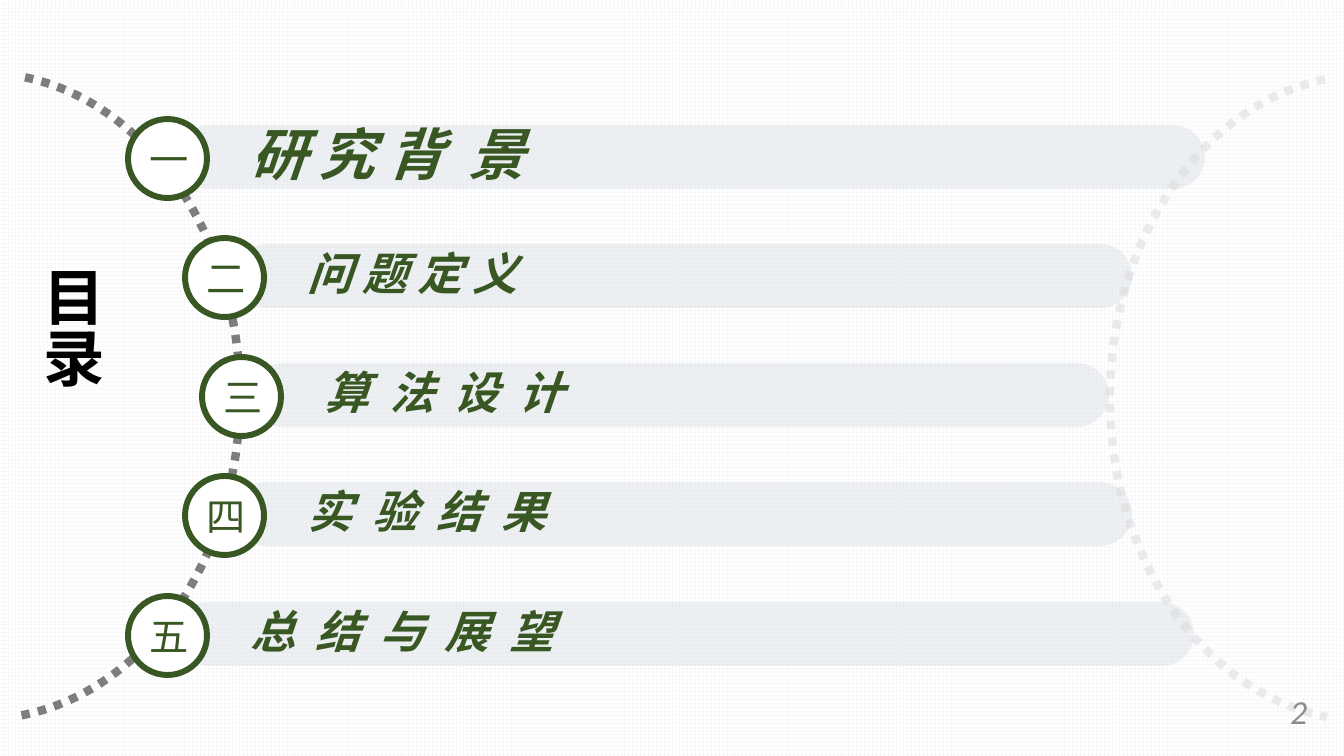
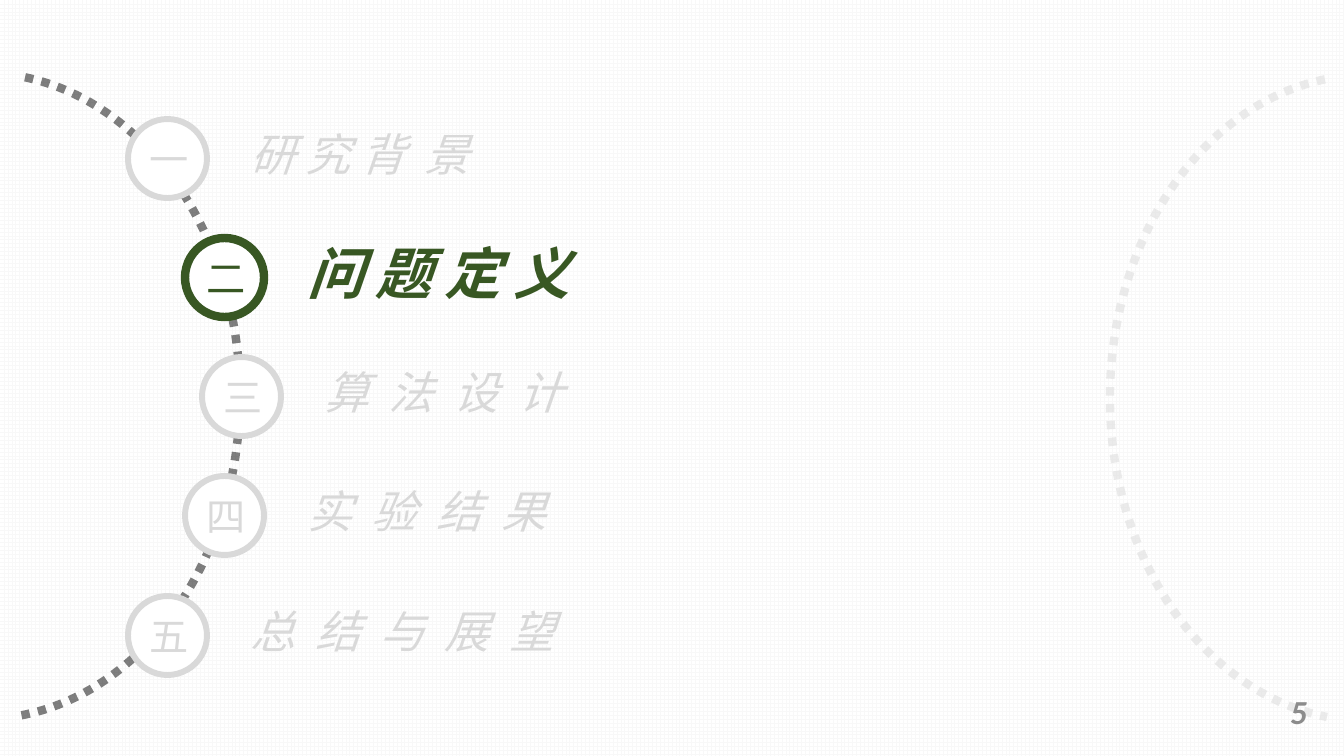
from lxml.etree import SubElement
from pptx import Presentation
from pptx.dml.color import RGBColor
from pptx.enum.dml import MSO_LINE, MSO_PATTERN
from pptx.enum.shapes import MSO_SHAPE
from pptx.enum.text import MSO_ANCHOR, MSO_AUTO_SIZE, PP_ALIGN
from pptx.oxml.ns import qn
from pptx.util import Pt

SLIDE_SIZE = 1344, 756
SCALE = 12192000 / SLIDE_SIZE[0]
COLORS = {
    "green": "385723",
    "muted": "D9D9D9",
    "bar": "ADB9CA",
    "white": "FFFFFF",
    "black": "000000",
    "number": "8C8C8C",
    "grid": "F8F8F8",
}
CJK_FONT = "Noto Sans CJK SC"
NUMBER_FONT = "Calibri"

SECTIONS = [
    ("一", "研 究 ", "背 景", 177, 1028),
    ("二", "问 题 定 义", "", 234, 898),
    ("三", "", "算 法 设 计", 251, 858),
    ("四", "", "实 验 结 果", 234, 898),
    ("五", "", "总 结 与 展 望", 177, 1017),
]


def px(*lengths):
    return [round(length * SCALE) for length in lengths]


def rgb(color):
    return RGBColor.from_string(COLORS[color])


def set_alpha(shape, percent):
    for color in shape._element.spPr.iter(qn("a:srgbClr")):
        SubElement(color, qn("a:alpha"), val=str(percent * 1000))


def style_paragraph(paragraph, size, color, face=CJK_FONT, bold=False, italic=False):
    font = paragraph.font
    font.size = Pt(size)
    font.bold = bold
    font.italic = italic
    font.name = face
    font.color.rgb = rgb(color)
    defaults = paragraph._p.pPr.find(qn("a:defRPr"))
    SubElement(defaults, qn("a:ea"), typeface=face)


def add_preset(slide, preset, box, fill=None, line=None, width=0):
    shape = slide.shapes.add_shape(preset, *px(*box))
    shape.shadow.inherit = False
    if fill:
        shape.fill.solid()
        shape.fill.fore_color.rgb = rgb(fill)
    else:
        shape.fill.background()
    if line:
        shape.line.color.rgb = rgb(line)
        shape.line.width = Pt(width)
    else:
        shape.line.fill.background()
    return shape


def add_dotted_arc(slide, left, top, color, end_angle, flipped=False):
    arc = add_preset(slide, MSO_SHAPE.ARC, (left, top, 514, 646), line=color, width=6)
    arc.adjustments[0] = 277.52 * 0.6
    arc.adjustments[1] = end_angle * 0.6
    arc.line.dash_style = MSO_LINE.ROUND_DOT
    set_alpha(arc, 50)
    if flipped:
        arc._element.spPr.xfrm.set("flipH", "1")


def add_section_bar(slide, box, tight, loose, fill, size, color, bold):
    bar = add_preset(slide, MSO_SHAPE.ROUNDED_RECTANGLE, box, fill)
    bar.adjustments[0] = 0.5
    if fill:
        set_alpha(bar, 20)
    frame = bar.text_frame
    frame.vertical_anchor = MSO_ANCHOR.MIDDLE
    frame.margin_left, frame.margin_top, frame.margin_right, frame.margin_bottom = px(64, 9, 9, 9)
    heading = frame.paragraphs[0]
    heading.alignment = PP_ALIGN.LEFT
    heading.line_spacing = 0.9
    heading.space_after = Pt(4)
    for words, tracking in ((tight, 0), (loose, 0.11)):
        if words:
            run = heading.add_run()
            run.text = words
            run._r.get_or_add_rPr().set("spc", str(round(size * tracking * 100)))
    style_paragraph(heading, size, color, bold=bold, italic=True)


def add_section_badge(slide, box, numeral, color, width):
    badge = add_preset(slide, MSO_SHAPE.OVAL, box, "white", color, width)
    badge.text_frame.vertical_anchor = MSO_ANCHOR.MIDDLE
    label = badge.text_frame.paragraphs[0]
    label.text = numeral
    label.alignment = PP_ALIGN.CENTER
    style_paragraph(label, 28, color)


def add_agenda(slide, large, current=None):
    add_dotted_arc(slide, -274, 73, "black", 83.4)
    for index, (numeral, tight, loose, left, width) in enumerate(SECTIONS):
        offset = index * 477 // 4
        active = current in (None, index)
        color = "green" if active else "muted"
        if current is None:
            fill = "bar"
        else:
            fill = "white" if active else None
        size = 40 if index == large else 32
        add_section_bar(slide, (left, 125 + offset, width, 64), tight, loose,
                        fill, size, color, active)
        add_section_badge(slide, (left - 49, 119 + offset, 79, 79), numeral, color,
                          6 if index == current else 4.25)
    add_dotted_arc(slide, 1110, 75, "muted", 82.86, flipped=True)


def add_page_number(slide, number, bold=False):
    frame = slide.shapes.add_textbox(*px(1252, 681, 65, 60)).text_frame
    frame.word_wrap = True
    frame.vertical_anchor = MSO_ANCHOR.MIDDLE
    page = frame.paragraphs[0]
    page.text = str(number)
    page.alignment = PP_ALIGN.RIGHT
    style_paragraph(page, 24, "number", NUMBER_FONT, bold, italic=True)


def set_vertical_title(slide, words):
    title = slide.shapes.title
    title.left, title.top, title.width, title.height = px(24, 261, 95, 234)
    frame = title.text_frame
    frame.text = words
    frame.word_wrap = True
    frame.auto_size = MSO_AUTO_SIZE.SHAPE_TO_FIT_TEXT
    frame.vertical_anchor = MSO_ANCHOR.TOP
    frame._txBody.bodyPr.set("vert", "eaVert")
    heading = frame.paragraphs[0]
    heading.alignment = PP_ALIGN.JUSTIFY
    style_paragraph(heading, 44, "black", bold=True)


def set_grid_background(master):
    fill = master.background.fill
    fill.patterned()
    fill.pattern = MSO_PATTERN.LARGE_GRID
    fill.fore_color.rgb = rgb("grid")
    fill.back_color.rgb = rgb("white")


def main():
    prs = Presentation()
    prs.slide_width, prs.slide_height = px(*SLIDE_SIZE)
    set_grid_background(prs.slide_master)
    title_only, blank = prs.slide_layouts[5], prs.slide_layouts[6]

    contents = prs.slides.add_slide(title_only)
    set_vertical_title(contents, "目录")
    add_agenda(contents, large=0)
    add_page_number(contents, 2)

    problem = prs.slides.add_slide(blank)
    add_agenda(problem, large=1, current=1)
    add_page_number(problem, 5, bold=True)

    prs.save("out.pptx")


if __name__ == "__main__":
    main()
